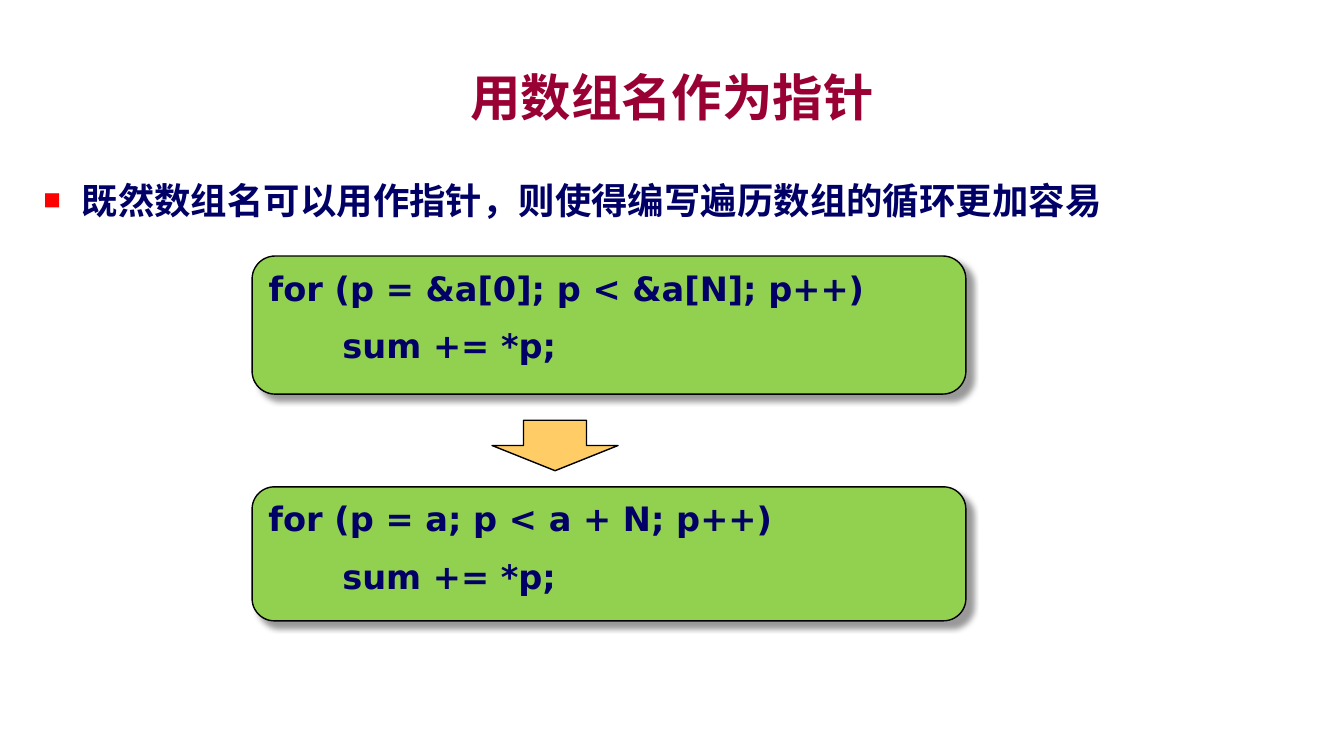
"""Build the slide on using an array name as a pointer."""
from lxml import etree
from pptx import Presentation
from pptx.dml.color import RGBColor
from pptx.enum.shapes import MSO_SHAPE
from pptx.enum.text import MSO_ANCHOR, MSO_AUTO_SIZE, PP_ALIGN
from pptx.oxml.ns import qn
from pptx.util import Inches, Pt

ROUNDED, DOWN_ARROW = MSO_SHAPE.ROUNDED_RECTANGLE, MSO_SHAPE.DOWN_ARROW
TOP, MIDDLE = MSO_ANCHOR.TOP, MSO_ANCHOR.MIDDLE
LEFT, CENTER = PP_ALIGN.LEFT, PP_ALIGN.CENTER
NO_AUTOFIT = MSO_AUTO_SIZE.NONE

TITLE = "用数组名作为指针"
POINT = "既然数组名可以用作指针，则使得编写遍历数组的循环更加容易"
LOOPS = [
    (2.54, 1.37, ["for (p = &a[0]; p < &a[N]; p++)", "\t  sum += *p;"]),
    (4.83, 1.33, ["for (p = a; p < a + N; p++)", "\t  sum += *p;"]),
]
TITLE_BOX = (1, 0.58, 11.33, 0.75)
POINT_BOX = (0.33, 1.5, 12.67, 5.67)
LOOP_LEFT, LOOP_WIDTH = 2.5, 7.08
ARROW_BOX = (4.88, 4.17, 1.25, 0.5)
NAVY, CRIMSON, RED = "000066", "990033", "FF0000"
GREEN, AMBER, BLACK = "92D050", "FFCC66", "000000"


def color(hex_code):
    return RGBColor.from_string(hex_code)


def add_child(parent, tag, **attributes):
    child = etree.SubElement(parent, qn(tag))
    for key, value in attributes.items():
        child.set(key, str(value))
    return child


def style(paragraph, font_name, size, hex_code, align=LEFT):
    paragraph.alignment = align
    for run in paragraph.runs:
        run.font.name = font_name
        run.font.size = Pt(size)
        run.font.bold = True
        run.font.color.rgb = color(hex_code)


def fill_placeholder(placeholder, box, text, anchor):
    placeholder.left, placeholder.top, placeholder.width, placeholder.height = map(Inches, box)
    frame = placeholder.text_frame
    frame.auto_size = NO_AUTOFIT
    frame.vertical_anchor = anchor
    frame.text = text
    return frame.paragraphs[0]


def add_bullet(paragraph):
    properties = paragraph._p.get_or_add_pPr()
    properties.set("marL", str(Inches(0.38)))
    properties.set("indent", str(-Inches(0.38)))
    add_child(add_child(properties, "a:buClr"), "a:srgbClr", val=RED)
    add_child(properties, "a:buSzPct", val=80000)
    add_child(properties, "a:buFont", typeface="Arial")
    add_child(properties, "a:buChar", char="■")


def add_outlined(slide, preset, box, hex_code):
    shape = slide.shapes.add_shape(preset, *map(Inches, box))
    shape.fill.solid()
    shape.fill.fore_color.rgb = color(hex_code)
    shape.line.color.rgb = color(BLACK)
    shape.line.width = Pt(1)
    shape.shadow.inherit = False
    return shape


def add_shadow(shape):
    effects = shape._element.spPr.find(qn("a:effectLst"))
    shadow = add_child(effects, "a:outerShdw", blurRad=Pt(4), dist=Pt(6),
                       dir=45 * 60000, algn="tl", rotWithShape=0)
    add_child(add_child(shadow, "a:srgbClr", val=BLACK), "a:alpha", val=40000)


def add_loop(slide, top, height, code):
    panel = add_outlined(slide, ROUNDED, (LOOP_LEFT, top, LOOP_WIDTH, height), GREEN)
    add_shadow(panel)
    frame = panel.text_frame
    frame.vertical_anchor = TOP
    frame.text = "\n".join(code)
    for index, paragraph in enumerate(frame.paragraphs):
        paragraph.space_before = Pt(6 if index else 0)
        paragraph.space_after = Pt(6)
        style(paragraph, "DejaVu Sans", 24, NAVY)


def main():
    deck = Presentation()
    deck.slide_width, deck.slide_height = Inches(13.33), Inches(7.5)
    slide = deck.slides.add_slide(deck.slide_layouts[1])

    title = fill_placeholder(slide.shapes.title, TITLE_BOX, TITLE, MIDDLE)
    style(title, "Arial", 36, CRIMSON, CENTER)

    point = fill_placeholder(slide.placeholders[1], POINT_BOX, POINT, TOP)
    add_bullet(point)
    point.line_spacing = 1.5
    point.space_before = Pt(0)
    style(point, "Arial", 26, NAVY)

    for top, height, code in LOOPS:
        add_loop(slide, top, height, code)
    add_outlined(slide, DOWN_ARROW, ARROW_BOX, AMBER)

    deck.save("out.pptx")


if __name__ == "__main__":
    main()
